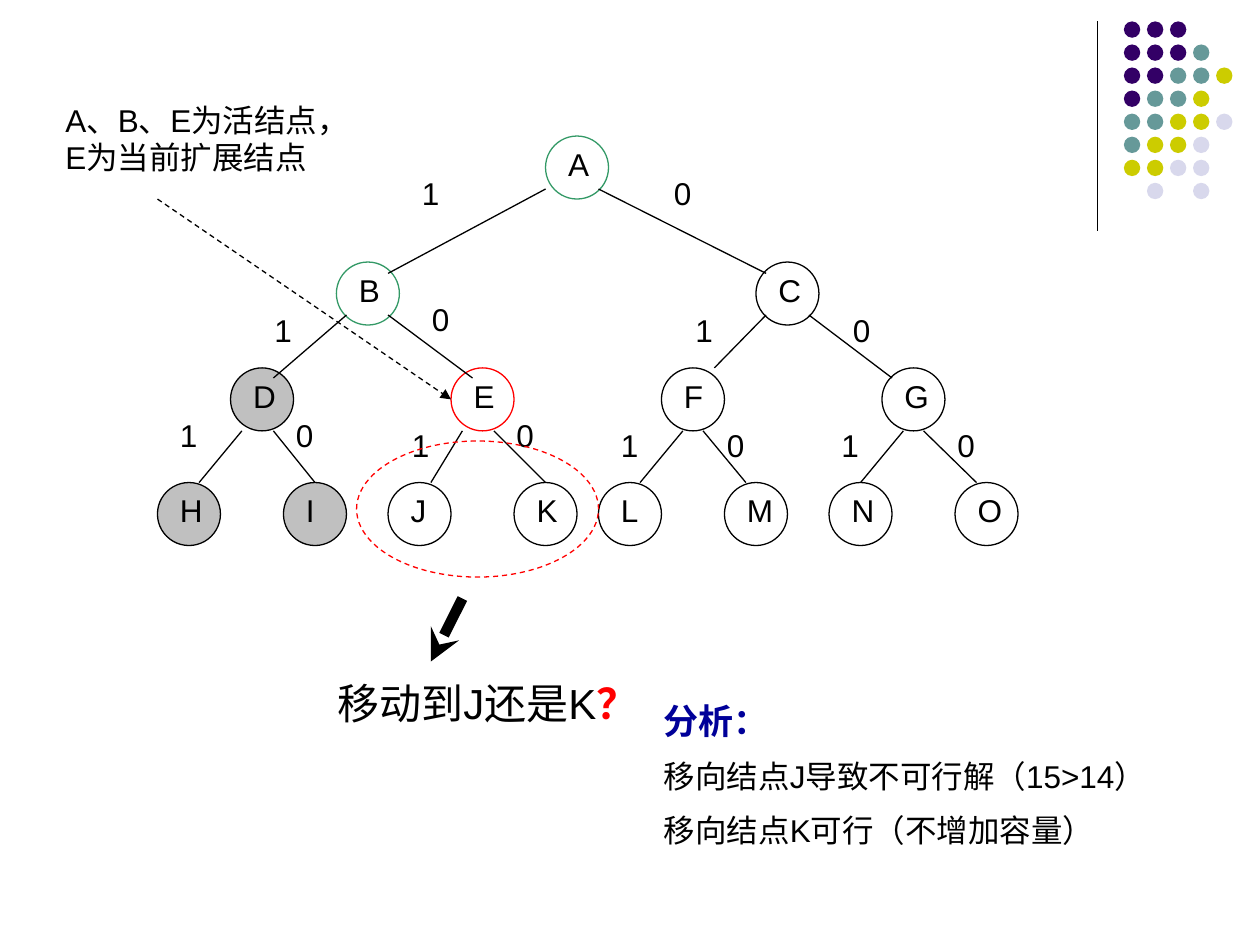
from dataclasses import dataclass

from lxml.etree import SubElement
from pptx import Presentation
from pptx.dml.color import RGBColor
from pptx.enum.dml import MSO_LINE_DASH_STYLE as Dash
from pptx.enum.shapes import MSO_CONNECTOR as Conn, MSO_SHAPE as Shape
from pptx.enum.text import MSO_AUTO_SIZE as AutoSize
from pptx.oxml.ns import qn
from pptx.util import Inches, Pt

BLACK, RED, GREEN, GRAY, NAVY = "000000", "FF0000", "339966", "C0C0C0", "000099"
DOT_COLORS = {"P": "330066", "T": "669999", "Y": "CCCC00", "L": "D8D8EC"}
DOT_ROWS = ["PPP", "PPPT", "PPTTY", "PTTY", "TTYYL", "TYYL", "YYLL", " L L"]
DOT_PITCH = 0.183


@dataclass
class Node:
    name: str
    x: float
    y: float
    line: str = BLACK
    fill: str | None = None


@dataclass
class Edge:
    start: tuple[float, float]
    end: tuple[float, float]
    bit: str
    bit_at: tuple[float, float]


@dataclass
class Run:
    text: str
    size: int = 18
    color: str = BLACK
    bold: bool = False


NODES = [
    Node("A", 4.33, 1.08, GREEN),
    Node("B", 2.67, 2.08, GREEN),
    Node("C", 6, 2.08),
    Node("D", 1.83, 2.92, fill=GRAY),
    Node("E", 3.58, 2.92, RED),
    Node("F", 5.25, 2.92),
    Node("G", 7, 2.92),
    Node("H", 1.25, 3.83, fill=GRAY),
    Node("I", 2.25, 3.83, fill=GRAY),
    Node("J", 3.08, 3.83),
    Node("K", 4.08, 3.83),
    Node("L", 4.75, 3.83),
    Node("M", 5.75, 3.83),
    Node("N", 6.58, 3.83),
    Node("O", 7.58, 3.83),
]

EDGES = [
    Edge((4.33, 1.5), (3.08, 2.17), "1", (3.25, 1.33)),
    Edge((4.75, 1.5), (6.08, 2.17), "0", (5.25, 1.33)),
    Edge((2.75, 2.5), (2.17, 3), "1", (2.08, 2.42)),
    Edge((3.08, 2.5), (3.75, 3), "0", (3.33, 2.33)),
    Edge((6.08, 2.5), (5.67, 2.92), "1", (5.42, 2.42)),
    Edge((6.42, 2.5), (7.08, 3), "0", (6.67, 2.42)),
    Edge((1.92, 3.42), (1.58, 3.83), "1", (1.33, 3.25)),
    Edge((2.17, 3.42), (2.5, 3.83), "0", (2.25, 3.25)),
    Edge((3.67, 3.42), (3.42, 3.83), "1", (3.17, 3.33)),
    Edge((3.92, 3.42), (4.33, 3.83), "0", (4, 3.25)),
    Edge((5.42, 3.42), (5.08, 3.83), "1", (4.83, 3.33)),
    Edge((5.58, 3.42), (5.92, 3.83), "0", (5.67, 3.33)),
    Edge((7.17, 3.42), (6.83, 3.83), "1", (6.58, 3.33)),
    Edge((7.33, 3.42), (7.75, 3.83), "0", (7.5, 3.33)),
]


def rgb(value: str) -> RGBColor:
    return RGBColor.from_string(value)


def add_ellipse(s, x: float, y: float, w: float, h: float, *, fill: str | None = None,
                line: str | None = None, dash: Dash | None = None) -> None:
    sp = s.shapes.add_shape(Shape.OVAL, Inches(x), Inches(y), Inches(w), Inches(h))
    sp.shadow.inherit = False
    if fill:
        sp.fill.solid()
        sp.fill.fore_color.rgb = rgb(fill)
    else:
        sp.fill.background()
    if line:
        sp.line.color.rgb = rgb(line)
        sp.line.width = Pt(0.75)
        sp.line.dash_style = dash
    else:
        sp.line.fill.background()


def add_line(s, start: tuple[float, float], end: tuple[float, float], *,
             width: float = 0.75, dash: Dash | None = None, tail: str | None = None) -> None:
    cx = s.shapes.add_connector(Conn.STRAIGHT, *map(Inches, start + end))
    cx.line.color.rgb = rgb(BLACK)
    cx.line.width = Pt(width)
    cx.line.dash_style = dash
    if tail:
        SubElement(cx.line._get_or_add_ln(), qn("a:tailEnd"), type=tail)
    SubElement(cx._element.spPr, qn("a:effectLst"))


def add_text(s, x: float, y: float, w: float, h: float, paragraphs: list[list[Run]]) -> None:
    tf = s.shapes.add_textbox(Inches(x), Inches(y), Inches(w), Inches(h)).text_frame
    tf.word_wrap = True
    tf.auto_size = AutoSize.SHAPE_TO_FIT_TEXT
    for i, runs in enumerate(paragraphs):
        p = tf.add_paragraph() if i else tf.paragraphs[0]
        p.space_before = Pt(runs[0].size / 2 if i else 0)
        for run in runs:
            r = p.add_run()
            r.text = run.text
            r.font.name = "Arial"
            r.font.size = Pt(run.size)
            r.font.bold = run.bold
            r.font.color.rgb = rgb(run.color)


def add_letter(s, x: float, y: float, text: str) -> None:
    add_text(s, x, y, 0.42, 0.4, [[Run(text)]])


def add_node(s, node: Node) -> None:
    add_ellipse(s, node.x, node.y, 0.5, 0.5, fill=node.fill, line=node.line)
    add_letter(s, node.x + 0.08, node.y + 0.02, node.name)


def add_dots(s) -> None:
    add_line(s, (8.71, 0.17), (8.71, 1.83))
    for row, codes in enumerate(DOT_ROWS):
        for col, code in enumerate(codes):
            if code in DOT_COLORS:
                add_ellipse(s, 8.92 + col * DOT_PITCH, 0.17 + row * DOT_PITCH,
                            0.13, 0.13, fill=DOT_COLORS[code])


def main() -> None:
    """Build the search tree slide with its notes on the current node."""
    prs = Presentation()
    prs.slide_width, prs.slide_height = Inches(10), Inches(7.5)
    s = prs.slides.add_slide(prs.slide_layouts[6])

    add_dots(s)
    for node in NODES:
        add_node(s, node)
    for edge in EDGES:
        add_line(s, edge.start, edge.end)
        add_letter(s, *edge.bit_at, edge.bit)

    add_line(s, (1.25, 1.58), (3.58, 3.17), dash=Dash.DASH, tail="triangle")
    add_text(s, 0.42, 0.75, 2.5, 0.7, [[Run("A、B、E为活结点，E为当前扩展结点")]])

    add_ellipse(s, 2.83, 3.5, 1.92, 1.08, line=RED, dash=Dash.DASH)
    add_line(s, (3.67, 4.75), (3.42, 5.25), width=6, dash=Dash.DASH, tail="stealth")
    add_text(s, 2.58, 5.33, 2.75, 0.5,
             [[Run("移动到J还是K", 24), Run("？", 24, RED, True)]])
    add_text(s, 5.17, 5.5, 4.17, 1.34, [
        [Run("分析：", 20, NAVY, True)],
        [Run("移向结点J导致不可行解（15>14）")],
        [Run("移向结点K可行（不增加容量）")],
    ])
    prs.save("out.pptx")


if __name__ == "__main__":
    main()
